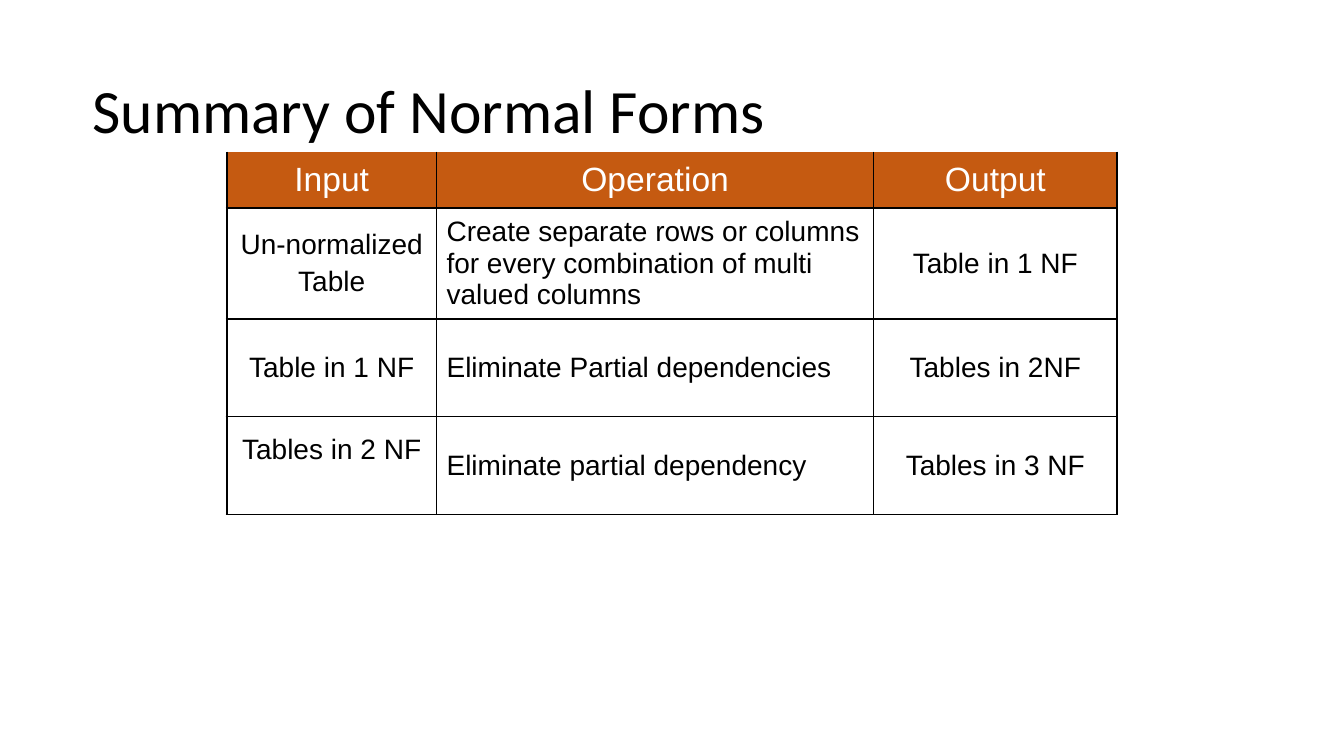
import lxml.etree
import pptx
import pptx.dml.color
import pptx.enum.text
import pptx.oxml.ns
import pptx.util

Cm = pptx.util.Cm
Pt = pptx.util.Pt
ALIGN = pptx.enum.text.PP_ALIGN
MIDDLE = pptx.enum.text.MSO_ANCHOR.MIDDLE
BLACK = pptx.dml.color.RGBColor(0x00, 0x00, 0x00)
WHITE = pptx.dml.color.RGBColor(0xFF, 0xFF, 0xFF)
ORANGE = pptx.dml.color.RGBColor(0xC5, 0x5A, 0x11)

COLUMN_WIDTHS = [5.28, 11.02, 6.13]
THIN, THICK = 1, 2.25
HEADER = ["Input", "Operation", "Output"]
FIRST_STEPS = [
    ["Un-normalized\nTable",
     "Create separate rows or columns for every combination of multi valued columns",
     "Table in 1 NF"],
    ["Table in 1 NF", "Eliminate Partial dependencies", "Tables in 2NF"],
]
LAST_STEP = ["Tables in 2 NF", "Eliminate partial dependency", "Tables in 3 NF"]


def write_text(frame, text, font="Arial", size=20, color=BLACK,
               align=ALIGN.LEFT, before=0, line_spacing=None):
    for index, line in enumerate(text.split("\n")):
        paragraph = frame.paragraphs[0] if index == 0 else frame.add_paragraph()
        paragraph.alignment = align
        paragraph.space_before = Pt(before)
        paragraph.line_spacing = line_spacing
        run = paragraph.add_run()
        run.text = line
        run.font.name = font
        run.font.size = Pt(size)
        run.font.color.rgb = color
        run.font.bold = False


def set_borders(cell, **widths):
    properties = cell._tc.get_or_add_tcPr()
    for index, side in enumerate(["L", "R", "T", "B"]):
        line = lxml.etree.Element(pptx.oxml.ns.qn(f"a:ln{side}"))
        width = widths[side]
        if width:
            line.set("w", str(Pt(width)))
            fill = lxml.etree.SubElement(line, pptx.oxml.ns.qn("a:solidFill"))
            color = lxml.etree.SubElement(fill, pptx.oxml.ns.qn("a:srgbClr"))
            color.set("val", str(BLACK))
        else:
            lxml.etree.SubElement(line, pptx.oxml.ns.qn("a:noFill"))
        properties.insert(index, line)


def add_title(slide, left, top, width, height):
    frame = slide.shapes.add_textbox(Cm(left), Cm(top), Cm(width), Cm(height)).text_frame
    frame.word_wrap = True
    frame.vertical_anchor = MIDDLE
    frame.margin_left = 0
    write_text(frame, "Summary of Normal Forms", font="Calibri", size=44, line_spacing=0.9)


def add_forms_table(slide, left, top, rows, heights, has_header=False):
    table = slide.shapes.add_table(
        len(rows), len(COLUMN_WIDTHS), Cm(left), Cm(top),
        Cm(sum(COLUMN_WIDTHS)), Cm(sum(heights))).table
    table.first_row = False
    table.horz_banding = False
    for column, width in zip(table.columns, COLUMN_WIDTHS):
        column.width = Cm(width)
    last = len(COLUMN_WIDTHS) - 1
    for row_index, (texts, height) in enumerate(zip(rows, heights)):
        table.rows[row_index].height = Cm(height)
        is_header = has_header and row_index == 0
        for column_index, text in enumerate(texts):
            cell = table.cell(row_index, column_index)
            cell.vertical_anchor = MIDDLE
            if is_header:
                cell.fill.solid()
                cell.fill.fore_color.rgb = ORANGE
            else:
                cell.fill.background()
            size = 24 if is_header else 20
            centered = is_header or column_index != 1
            write_text(cell.text_frame, text, size=size,
                       color=WHITE if is_header else BLACK,
                       align=ALIGN.CENTER if centered else ALIGN.LEFT,
                       before=size * 0.2)
            set_borders(cell,
                        L=THICK if column_index == 0 else THIN,
                        R=THICK if column_index == last else THIN,
                        T=0 if is_header else THIN,
                        B=THIN)
    return table


def build_summary_slide(presentation):
    slide = presentation.slides.add_slide(presentation.slide_layouts[6])
    add_title(slide, 2.33, 1.01, 29.21, 3.68)
    left, top = 5.72, 3.82
    heights = [1.42, 2.8, 2.45]
    add_forms_table(slide, left, top, [HEADER] + FIRST_STEPS, heights, has_header=True)
    last_table = add_forms_table(slide, left, top + sum(heights), [LAST_STEP], [2.47])
    last_table.cell(0, 0).margin_bottom = Cm(0.9)


def main():
    presentation = pptx.Presentation()
    presentation.slide_width = Cm(33.87)
    presentation.slide_height = Cm(19.05)
    build_summary_slide(presentation)
    presentation.save("out.pptx")


if __name__ == "__main__":
    main()
